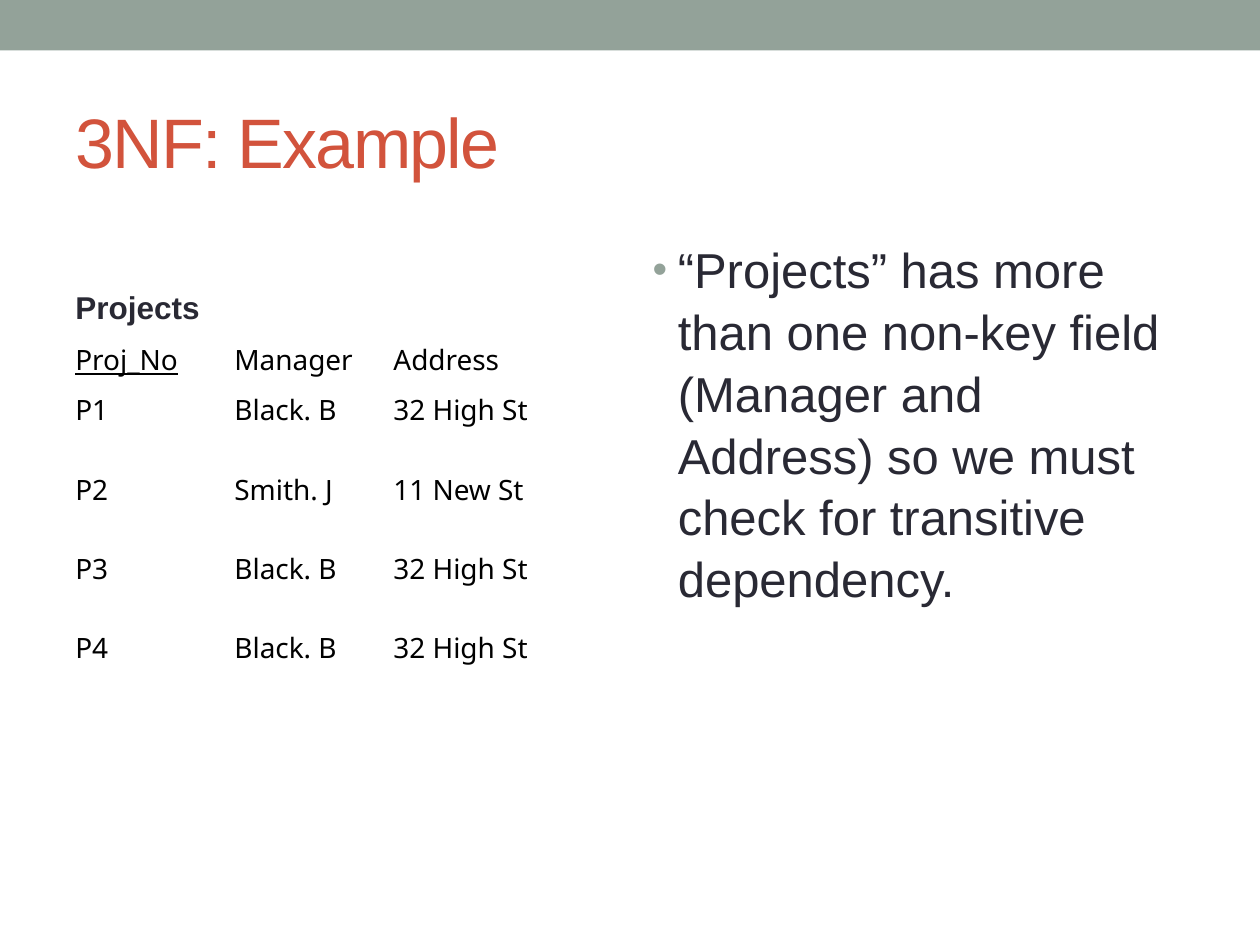
import pptx
import pptx.util
import pptx.dml.color
import pptx.enum.shapes
import pptx.enum.text
import pptx.oxml
import pptx.oxml.ns

Cm = pptx.util.Cm
Pt = pptx.util.Pt
RGBColor = pptx.dml.color.RGBColor
Anchor = pptx.enum.text.MSO_ANCHOR
Align = pptx.enum.text.PP_ALIGN

SAGE = RGBColor(0x93, 0xA2, 0x99)
RUST = RGBColor(0xD2, 0x53, 0x3C)
INK = RGBColor(0x29, 0x29, 0x34)
BLACK = RGBColor(0, 0, 0)


class ExampleSlide:
    heading_font = "Arial"
    table_font = "Noto Sans"

    def __init__(self, deck):
        self.slide = deck.slides.add_slide(deck.slide_layouts[1])

    def place(self, shape, box):
        shape.left, shape.top, shape.width, shape.height = map(Cm, box)

    def style(self, paragraph, size, color, font, bold=False):
        for run in paragraph.runs:
            run.font.name = font
            run.font.size = Pt(size)
            run.font.color.rgb = color
            run.font.bold = bold

    def band(self, box, color):
        band = self.slide.shapes.add_shape(
            pptx.enum.shapes.MSO_SHAPE.RECTANGLE, *map(Cm, box))
        band.shadow.inherit = False
        band.fill.solid()
        band.fill.fore_color.rgb = color
        band.line.fill.background()

    def title(self, text, box):
        title = self.slide.shapes.title
        self.place(title, box)
        frame = title.text_frame
        frame.text = text
        frame.auto_size = pptx.enum.text.MSO_AUTO_SIZE.NONE
        frame.vertical_anchor = Anchor.MIDDLE
        heading = frame.paragraphs[0]
        heading.alignment = Align.LEFT
        self.style(heading, 40, RUST, self.heading_font)
        for run in heading.runs:
            run.font._element.set("spc", "-100")

    def bullets(self, points, box):
        body = self.slide.placeholders[1]
        self.place(body, box)
        frame = body.text_frame
        frame.text = "\n".join(points)
        frame.auto_size = pptx.enum.text.MSO_AUTO_SIZE.NONE
        for point in frame.paragraphs:
            point.line_spacing = 1.05
            self.style(point, 28, INK, self.heading_font)
            properties = point._p.get_or_add_pPr()
            properties.set("marL", str(Cm(0.51)))
            properties.set("indent", str(Cm(-0.51)))
            namespace = pptx.oxml.ns.nsdecls("a")
            for bullet in (
                f'<a:spcBef {namespace}><a:spcPct val="20000"/></a:spcBef>',
                f'<a:buClr {namespace}><a:srgbClr val="{SAGE}"/></a:buClr>',
                f'<a:buSzPct {namespace} val="85000"/>',
                f'<a:buFont {namespace} typeface="Arial"/>',
                f'<a:buChar {namespace} char="•"/>',
            ):
                properties.append(pptx.oxml.parse_xml(bullet))

    def caption(self, text, box):
        caption = self.slide.shapes.add_textbox(*map(Cm, box))
        frame = caption.text_frame
        frame.text = text
        frame.word_wrap = False
        self.style(frame.paragraphs[0], 18, INK, self.heading_font, bold=True)

    def table(self, records, box, row_heights, key_column):
        table = self.slide.shapes.add_table(
            len(records), len(records[0]), *map(Cm, box)).table
        table.first_row = False
        table.horz_banding = False
        for row, height in zip(table.rows, row_heights):
            row.height = Cm(height)
        for row_index, record in enumerate(records):
            for column_index, value in enumerate(record):
                cell = table.cell(row_index, column_index)
                cell.fill.background()
                cell.margin_left = cell.margin_right = Cm(0.25)
                cell.margin_top = Cm(0.15)
                cell.margin_bottom = Cm(0.13)
                cell.text_frame.text = value
                entry = cell.text_frame.paragraphs[0]
                entry.line_spacing = 0.96
                entry.space_before = Pt(10)
                self.style(entry, 16, BLACK, self.table_font)
        key_heading = table.cell(0, key_column).text_frame.paragraphs[0]
        key_heading.runs[0].font.underline = True


deck = pptx.Presentation()
deck.slide_width = Cm(25.4)
deck.slide_height = Cm(19.05)

example = ExampleSlide(deck)
example.band((0, 0, 25.4, 1.02), SAGE)
example.title("3NF: Example", (1.27, 1.47, 22.86, 2.74))
example.bullets(
    ["“Projects” has more than one non-key field (Manager and Address) "
     "so we must check for transitive dependency."],
    (12.9, 4.65, 11.23, 13.11))

projects = [
    ("Proj_No", "Manager", "Address"),
    ("P1", "Black. B", "32 High St"),
    ("P2", "Smith. J", "11 New St"),
    ("P3", "Black. B", "32 High St"),
    ("P4", "Black. B", "32 High St"),
]
example.table(projects, (1.27, 6.73, 9.62, 7.34), [0.94] + [1.6] * 4, key_column=0)
example.caption("Projects", (1.27, 5.69, 3.05, 1.02))

deck.save("out.pptx")
